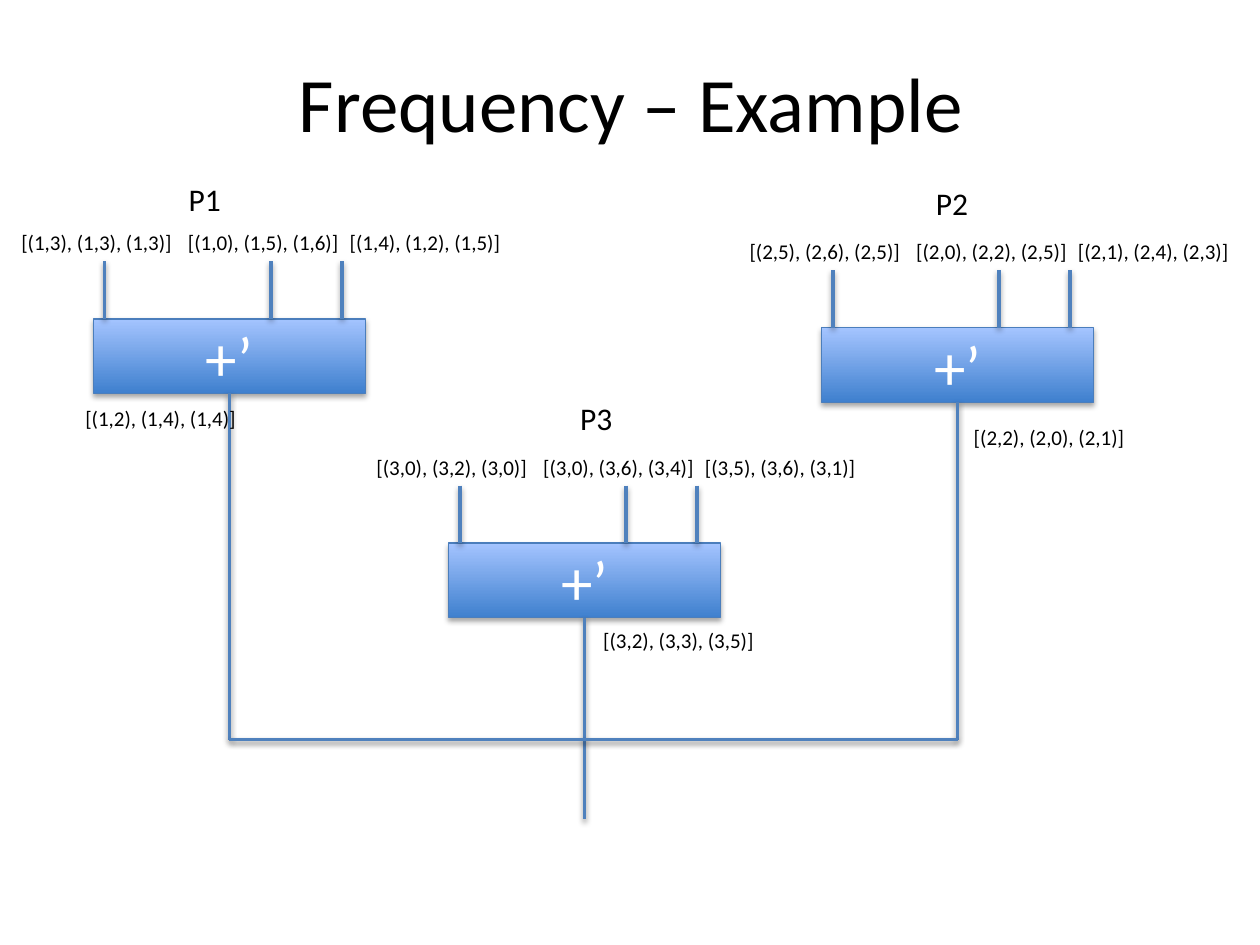
from dataclasses import dataclass
from typing import Any

from lxml.etree import SubElement
from pptx import Presentation
from pptx.dml.color import RGBColor
from pptx.enum.shapes import MSO_CONNECTOR, MSO_SHAPE
from pptx.enum.text import MSO_ANCHOR, MSO_AUTO_SIZE, PP_ALIGN
from pptx.oxml.ns import qn
from pptx.util import Cm, Pt

COLORS = {
    "text": "000000",
    "box_text": "FFFFFF",
    "box_bottom": "3F80CE",
    "box_top": "A4C4FF",
    "box_border": "4B7EBC",
    "wire": "4F81BD",
    "shadow": "000000",
}
BOX_WIDTH, BOX_HEIGHT = 5.49, 1.5
LABEL_HEIGHT = 0.76
WIRE_LENGTH = 1.16
# Label left, label width and wire position, measured from the box's left edge
INPUTS = [(-1.7, 3.84, 0.23), (1.66, 3.81, 3.58), (4.92, 3.66, 5.01)]
BUS_Y, OUTPUT_END = 14.91, 16.51


@dataclass
class Process:
    name: str
    left: float
    top: float
    inputs: list
    output: str
    name_at: tuple
    output_at: tuple
    wire_end: float = BUS_Y

    @property
    def center(self):
        return self.left + BOX_WIDTH / 2


PROCESSES = [
    Process("P1", 1.88, 6.43,
            ["[(1,3), (1,3), (1,3)]", "[(1,0), (1,5), (1,6)]", "[(1,4), (1,2), (1,5)]"],
            "[(1,2), (1,4), (1,4)]", (3.18, 3.51), (1.47, 8.05)),
    Process("P2", 16.56, 6.61,
            ["[(2,5), (2,6), (2,5)]", "[(2,0), (2,2), (2,5)]", "[(2,1), (2,4), (2,3)]"],
            "[(2,2), (2,0), (2,1)]", (18.24, 3.58), (19.38, 8.43)),
    Process("P3", 9.04, 10.95,
            ["[(3,0), (3,2), (3,0)]", "[(3,0), (3,6), (3,4)]", "[(3,5), (3,6), (3,1)]"],
            "[(3,2), (3,3), (3,5)]", (11.07, 7.92), (11.91, 12.52), OUTPUT_END),
]


@dataclass
class SlideBuilder:
    slide: Any
    font: str = "Calibri"

    def color(self, name):
        return RGBColor.from_string(COLORS[name])

    def add_text(self, frame, text, size, color="text", align=PP_ALIGN.LEFT):
        paragraph = frame.paragraphs[0]
        paragraph.alignment = align
        run = paragraph.add_run()
        run.text = text
        run.font.name = self.font
        run.font.size = Pt(size)
        run.font.color.rgb = self.color(color)

    def title(self, text, left, top, width, height):
        shape = self.slide.shapes.title
        shape.left, shape.top = Cm(left), Cm(top)
        shape.width, shape.height = Cm(width), Cm(height)
        shape.text_frame.vertical_anchor = MSO_ANCHOR.MIDDLE
        self.add_text(shape.text_frame, text, 44, align=PP_ALIGN.CENTER)

    def label(self, shapes, text, left, top, width, height=LABEL_HEIGHT,
              size=12, align=PP_ALIGN.LEFT):
        shape = shapes.add_textbox(Cm(left), Cm(top), Cm(width), Cm(height))
        shape.text_frame.word_wrap = True
        shape.text_frame.auto_size = MSO_AUTO_SIZE.SHAPE_TO_FIT_TEXT
        self.add_text(shape.text_frame, text, size, align=align)

    def shadow(self, shape, distance, opacity):
        effects = SubElement(shape._element.spPr, qn("a:effectLst"))
        outer = SubElement(effects, qn("a:outerShdw"), blurRad=str(Pt(3.15)),
                           dist=str(Pt(distance)), dir="5400000", rotWithShape="0")
        color = SubElement(outer, qn("a:srgbClr"), val=COLORS["shadow"])
        SubElement(color, qn("a:alpha"), val=str(opacity * 1000))

    def box(self, shapes, text, left, top):
        shape = shapes.add_shape(MSO_SHAPE.RECTANGLE, Cm(left), Cm(top),
                                 Cm(BOX_WIDTH), Cm(BOX_HEIGHT))
        shape.fill.gradient()
        shape.fill.gradient_angle = 90
        for stop, name in zip(shape.fill.gradient_stops, ("box_bottom", "box_top")):
            stop.color.rgb = self.color(name)
        shape.line.color.rgb = self.color("box_border")
        shape.line.width = Pt(0.75)
        self.shadow(shape, 1.8, 35)
        shape.text_frame.vertical_anchor = MSO_ANCHOR.MIDDLE
        self.add_text(shape.text_frame, text, 36, "box_text", PP_ALIGN.CENTER)

    def wire(self, shapes, x1, y1, x2, y2):
        connector = shapes.add_connector(MSO_CONNECTOR.STRAIGHT,
                                         Cm(x1), Cm(y1), Cm(x2), Cm(y2))
        connector.line.color.rgb = self.color("wire")
        connector.line.width = Pt(2)
        self.shadow(connector, 1.6, 38)

    def adder(self, process):
        shapes = self.slide.shapes.add_group_shape().shapes
        left, top = process.left, process.top
        wire_top = top - WIRE_LENGTH
        self.box(shapes, "+’", left, top)
        for text, (offset, width, _) in zip(process.inputs, INPUTS):
            self.label(shapes, text, left + offset, wire_top - LABEL_HEIGHT, width)
        for _, _, offset in INPUTS:
            self.wire(shapes, left + offset, wire_top, left + offset, top)


def main():
    presentation = Presentation()
    presentation.slide_width, presentation.slide_height = Cm(25.4), Cm(19.05)
    slide = presentation.slides.add_slide(presentation.slide_layouts[5])
    builder = SlideBuilder(slide)
    shapes = slide.shapes

    builder.title("Frequency – Example", 1.93, 0, 21.59, 4.09)

    # Adders with their inputs
    for process in PROCESSES:
        builder.adder(process)

    # Process names
    for process in PROCESSES:
        builder.label(shapes, process.name, *process.name_at, 1.9, 1.02,
                      size=18, align=PP_ALIGN.CENTER)

    # Output wires joined by the bus
    for process in PROCESSES:
        builder.wire(shapes, process.center, process.top + BOX_HEIGHT,
                     process.center, process.wire_end)
    builder.wire(shapes, PROCESSES[0].center, BUS_Y, PROCESSES[1].center, BUS_Y)

    # Output values
    for process in PROCESSES:
        builder.label(shapes, process.output, *process.output_at, 4.14)

    presentation.save("out.pptx")


if __name__ == "__main__":
    main()
